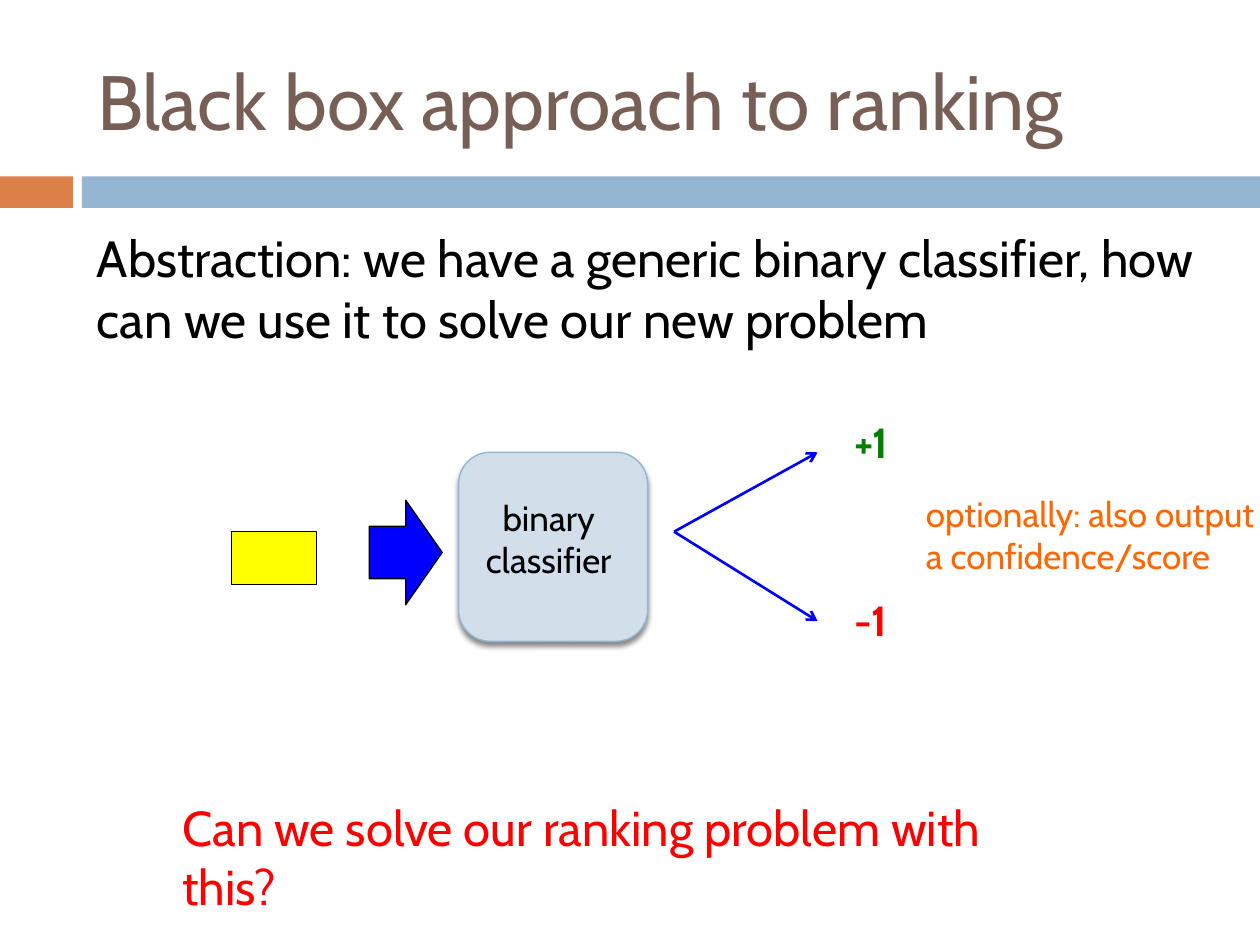
from dataclasses import dataclass
from typing import Optional

from lxml.etree import SubElement
from pptx import Presentation
from pptx.dml.color import RGBColor
from pptx.enum.shapes import MSO_CONNECTOR, MSO_SHAPE
from pptx.enum.text import MSO_ANCHOR, PP_ALIGN
from pptx.oxml.ns import qn
from pptx.util import Inches, Pt

FONT = "Cabin"
BLUE = "0000FF"


@dataclass
class Box:
    """A filled shape with an optional outline."""
    kind: MSO_SHAPE
    at: tuple
    fill: str
    line: Optional[str] = None
    width: float = 0.75


@dataclass
class Label:
    """A text box holding one run."""
    text: str
    at: tuple
    size: float
    color: str
    bold: bool = False
    wrap: bool = True
    align: PP_ALIGN = PP_ALIGN.LEFT
    before: float = 0


BARS = [
    Box(MSO_SHAPE.RECTANGLE, (0, 1.4, 0.58, 0.25), "DD8047"),
    Box(MSO_SHAPE.RECTANGLE, (0.65, 1.4, 9.35, 0.25), "94B6D2"),
]
INPUTS = [
    Box(MSO_SHAPE.RECTANGLE, (1.84, 4.22, 0.67, 0.42), "FFFF00", "000000"),
    Box(MSO_SHAPE.RIGHT_ARROW, (2.93, 3.97, 0.58, 0.83), BLUE, "000000"),
]
CLASSIFIER = Box(MSO_SHAPE.ROUNDED_RECTANGLE, (3.64, 3.59, 1.5, 1.5),
                 "D2DEEA", "94B6D2", 0.79)
CLASSIFIER_LABEL = Label("binary classifier", (3.57, 3.89, 1.57, 0.77), 20,
                         "000000", align=PP_ALIGN.CENTER)
FORK = (5.35, 4.22)
OUTCOMES = [(6.49, 3.59), (6.49, 4.93)]
LABELS = [
    Label("Abstraction: we have a generic binary classifier, how can we use it "
          "to solve our new problem", (0.67, 1.75, 8.92, 1.23), 29, "000000",
          before=7),
    Label("+1", (6.68, 3.26, 0.61, 0.5), 24, "008000", bold=True, wrap=False),
    Label("-1", (6.68, 4.67, 0.49, 0.5), 24, "FF0000", bold=True, wrap=False),
    Label("optionally: also output a confidence/score",
          (7.25, 3.86, 2.85, 0.77), 20, "FF6600"),
    Label("Can we solve our ranking problem with this?",
          (1.35, 6.28, 7.34, 0.57), 28, "FF0000"),
]


def rgb(color: str) -> RGBColor:
    """Turn a hex string into a colour."""
    return RGBColor.from_string(color)


def add_run(p, text: str, size: float, color: str, bold: bool = False) -> None:
    """Add one formatted run to a paragraph."""
    r = p.add_run()
    r.text = text
    r.font.name = FONT
    r.font.size = Pt(size)
    r.font.bold = bold
    r.font.color.rgb = rgb(color)


def add_box(shapes, box: Box):
    """Draw a filled shape."""
    sp = shapes.add_shape(box.kind, *map(Inches, box.at))
    sp.shadow.inherit = False
    sp.fill.solid()
    sp.fill.fore_color.rgb = rgb(box.fill)
    if box.line:
        sp.line.color.rgb = rgb(box.line)
        sp.line.width = Pt(box.width)
    else:
        sp.line.fill.background()
    return sp


def add_label(shapes, label: Label) -> None:
    """Draw a text box."""
    tf = shapes.add_textbox(*map(Inches, label.at)).text_frame
    tf.word_wrap = label.wrap
    p = tf.paragraphs[0]
    p.alignment = label.align
    p.space_before = Pt(label.before)
    add_run(p, label.text, label.size, label.color, label.bold)


def add_shadow(sp) -> None:
    """Give a shape a soft shadow below it."""
    effects = sp._element.spPr.find(qn("a:effectLst"))
    shadow = SubElement(effects, qn("a:outerShdw"), blurRad=str(Pt(3)),
                        dist=str(Pt(2.4)), dir="5400000", rotWithShape="0")
    color = SubElement(shadow, qn("a:srgbClr"), val="000000")
    SubElement(color, qn("a:alpha"), val="45000")


def add_arrow(shapes, start: tuple, end: tuple) -> None:
    """Draw a line with an open arrowhead at its end."""
    line = shapes.add_connector(MSO_CONNECTOR.STRAIGHT,
                                *map(Inches, start + end))
    line.line.color.rgb = rgb(BLUE)
    line.line.width = Pt(1.5)
    SubElement(line.line._get_or_add_ln(), qn("a:tailEnd"), type="arrow")
    SubElement(line._element.spPr, qn("a:effectLst"))


def set_title(title, text: str) -> None:
    """Place and format the title."""
    title.left, title.top, title.width, title.height = map(
        Inches, (0.67, 0.25, 8.92, 1.08))
    tf = title.text_frame
    tf.word_wrap = True
    tf.vertical_anchor = MSO_ANCHOR.MIDDLE
    p = tf.paragraphs[0]
    p.alignment = PP_ALIGN.LEFT
    add_run(p, text, 44, "775F55")


def main() -> None:
    """Build the slide and save it."""
    prs = Presentation()
    prs.slide_width, prs.slide_height = Inches(10), Inches(7.5)
    s = prs.slides.add_slide(prs.slide_layouts[5])
    set_title(s.shapes.title, "Black box approach to ranking")
    for box in BARS + INPUTS:
        add_box(s.shapes, box)
    group = s.shapes.add_group_shape()
    add_shadow(add_box(group.shapes, CLASSIFIER))
    add_label(group.shapes, CLASSIFIER_LABEL)
    for end in OUTCOMES:
        add_arrow(s.shapes, FORK, end)
    for label in LABELS:
        add_label(s.shapes, label)
    prs.save("out.pptx")


main()
